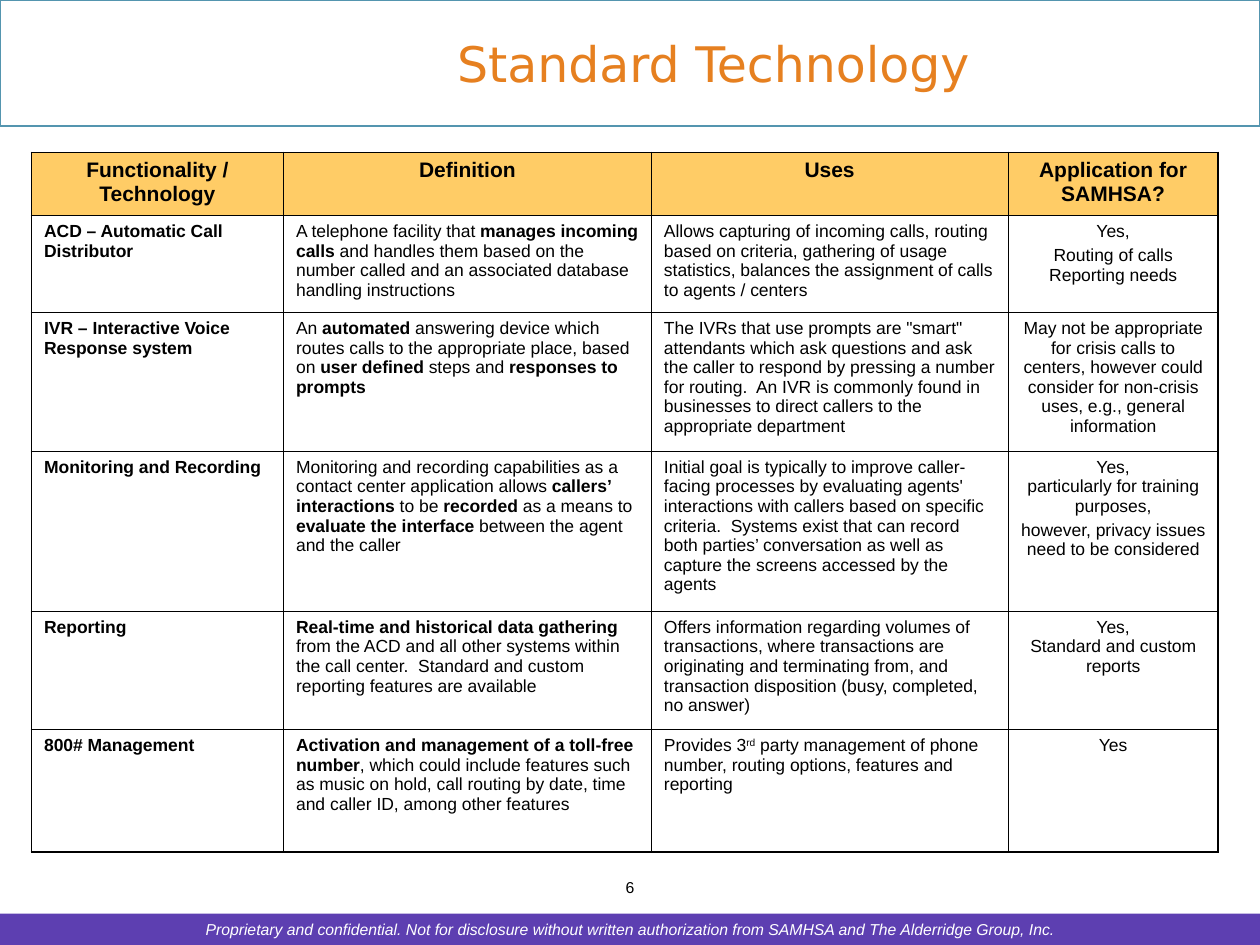
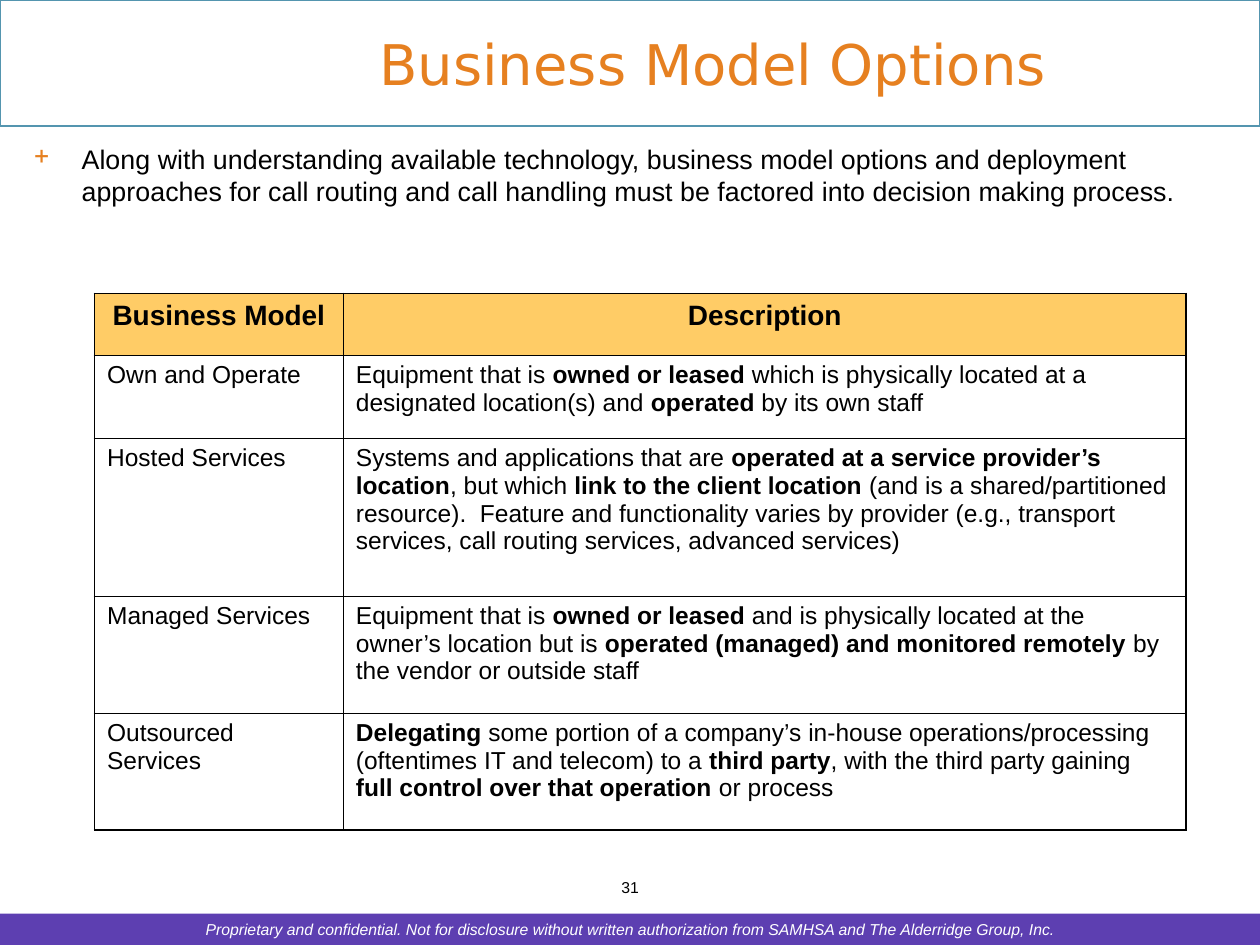
"""Builds two call center slides: standard technology and business model options."""
from dataclasses import dataclass

from lxml.etree import SubElement
from pptx import Presentation
from pptx.dml.color import RGBColor
from pptx.enum.shapes import MSO_SHAPE
from pptx.enum.text import MSO_ANCHOR, PP_ALIGN
from pptx.oxml.ns import qn
from pptx.util import Inches, Pt

COLUMNS, ROWS = 100, 75
ORANGE, PURPLE, TEAL = "E68020", "5D3FB1", "5495AF"
GOLD, BLACK, WHITE = "FFCC66", "000000", "FFFFFF"
BODY_FONT, TITLE_FONT = "Arial", "DejaVu Sans"
OUTER_RULE, INNER_RULE = 1.08, 0.45
CONFIDENTIALITY = ("Proprietary and confidential. Not for disclosure without written "
                   "authorization from SAMHSA and The Alderridge Group, Inc.")


@dataclass(frozen=True)
class Area:
    """A rectangle in grid columns and rows."""
    left: float
    top: float
    width: float
    height: float

    def lengths(self) -> list:
        """Return left, top, width and height as lengths."""
        return [grid(n) for n in (self.left, self.top, self.width, self.height)]


@dataclass(frozen=True)
class Style:
    """The look of a piece of text."""
    size: float
    color: str = BLACK
    font: str = BODY_FONT
    italic: bool = False
    align: PP_ALIGN = PP_ALIGN.LEFT
    gap: float = 0


@dataclass(frozen=True)
class Matrix:
    """A ruled table; *stars* mark bold text and ^carets^ superscript."""
    left: float
    top: float
    widths: tuple
    heights: tuple
    header_size: float
    body_size: float
    centred_columns: tuple
    entries: tuple


@dataclass(frozen=True)
class Page:
    """The content of one slide."""
    title: str
    title_size: float
    number: str
    matrix: Matrix
    lead: str = ""


FOOTER_BAND = Area(0, 72.5, COLUMNS, 2.5)
FOOTER_NOTE = Area(10, 72.5, 80, 2.5)
TITLE_BAND = Area(0, 0, COLUMNS, 10)
TITLE_AREA = Area(13.7, 0, 85.8, 10)
LEAD_AREA = Area(1.7, 10.8, 96.7, 6.7)
NUMBER_AREA = Area(47.9, 69.2, 4.2, 2.5)

TECHNOLOGY = Matrix(
    2.5, 12.1, (20, 29.2, 28.3, 16.7), (5, 7.7, 11, 12.7, 9.4, 9.7), 12, 10, (3,),
    (
        ("*Functionality / Technology*", "*Definition*", "*Uses*", "*Application for SAMHSA?*"),
        ("*ACD – Automatic Call Distributor*",
         "A telephone facility that *manages incoming calls* and handles them based on the "
         "number called and an associated database handling instructions",
         "Allows capturing of incoming calls, routing based on criteria, gathering of usage "
         "statistics, balances the assignment of calls to agents / centers",
         "Yes,\nRouting of calls\vReporting needs"),
        ("*IVR – Interactive Voice Response system*",
         "An *automated* answering device which routes calls to the appropriate place, based "
         "on *user defined* steps and *responses to prompts*",
         "The IVRs that use prompts are \"smart\" attendants which ask questions and ask the "
         "caller to respond by pressing a number for routing.  An IVR is commonly found in "
         "businesses to direct callers to the appropriate department",
         "May not be appropriate for crisis calls to centers, however could consider for "
         "non-crisis uses, e.g., general information"),
        ("*Monitoring and Recording*",
         "Monitoring and recording capabilities as a contact center application allows "
         "*callers’ interactions* to be *recorded* as a means to *evaluate the interface* "
         "between the agent and the caller",
         "Initial goal is typically to improve caller-facing processes by evaluating agents' "
         "interactions with callers based on specific criteria.  Systems exist that can record "
         "both parties’ conversation as well as capture the screens accessed by the agents",
         "Yes,\vparticularly for training purposes,\n"
         "however, privacy issues need to be considered"),
        ("*Reporting*",
         "*Real-time and historical data gathering* from the ACD and all other systems within "
         "the call center.  Standard and custom reporting features are available",
         "Offers information regarding volumes of transactions, where transactions are "
         "originating and terminating from, and transaction disposition (busy, completed, "
         "no answer)",
         "Yes,\vStandard and custom reports"),
        ("*800# Management*",
         "*Activation and management of a toll-free number*, which could include features such "
         "as music on hold, call routing by date, time and caller ID, among other features",
         "Provides 3^rd^ party management of phone number, routing options, features and "
         "reporting",
         "Yes"),
    ))

BUSINESS_MODELS = Matrix(
    7.5, 23.3, (19.75, 66.9), (4.9, 6.6, 12.5, 9.3, 9.3), 16, 14, (),
    (
        ("*Business Model*", "*Description*"),
        ("Own and Operate",
         "Equipment that is *owned or leased* which is physically located at a designated "
         "location(s) and *operated* by its own staff"),
        ("Hosted Services",
         "Systems and applications that are *operated at a service provider’s location*, but "
         "which *link to the client location* (and is a shared/partitioned resource).  Feature "
         "and functionality varies by provider (e.g., transport services, call routing "
         "services, advanced services)"),
        ("Managed Services",
         "Equipment that is *owned or leased* and is physically located at the owner’s "
         "location but is *operated (managed) and monitored remotely* by the vendor or outside "
         "staff"),
        ("Outsourced Services",
         "*Delegating* some portion of a company’s in-house operations/processing (oftentimes "
         "IT and telecom) to a *third party*, with the third party gaining *full control over "
         "that operation* or process"),
    ))

PAGES = (
    Page("Standard Technology", 28, "6", TECHNOLOGY),
    Page("Business Model Options", 32, "31", BUSINESS_MODELS,
         "Along with understanding available technology, business model options and deployment "
         "approaches for call routing and call handling must be factored into decision making "
         "process."),
)


def grid(units: float) -> int:
    """Convert grid columns or rows to a length."""
    return Inches(units / 10)


def rgb(color: str) -> RGBColor:
    """Turn a hex string into a colour."""
    return RGBColor.from_string(color)


def write(frame, text: str, style: Style) -> None:
    """Write marked text into a frame, one paragraph a line."""
    for index, line in enumerate(text.split("\n")):
        paragraph = frame.add_paragraph() if index else frame.paragraphs[0]
        mark = "^" if "^" in line else "*"
        opening, *others = line.split(mark)
        paragraph.text = opening
        paragraph.alignment = style.align
        if index:
            paragraph.space_before = Pt(style.gap)
        for position, part in enumerate(others):
            if part:
                run = paragraph.add_run()
                run.text = part
                if position % 2 == 0 and mark == "*":
                    run.font.bold = True
                elif position % 2 == 0:
                    run.font._element.set("baseline", "30000")
        for run in paragraph.runs:
            run.font.size = Pt(style.size)
            run.font.name = style.font
            run.font.italic = style.italic
            run.font.color.rgb = rgb(style.color)


def add_text(slide, area: Area, text: str, style: Style, anchor=MSO_ANCHOR.TOP):
    """Add a wrapping text box and return its frame."""
    frame = slide.shapes.add_textbox(*area.lengths()).text_frame
    frame.word_wrap = True
    frame.vertical_anchor = anchor
    write(frame, text, style)
    return frame


def add_band(slide, area: Area, fill: str = "", line: str = "") -> None:
    """Add a rectangle with an optional fill and outline."""
    band = slide.shapes.add_shape(MSO_SHAPE.RECTANGLE, *area.lengths())
    band.shadow.inherit = False
    if fill:
        band.fill.solid()
        band.fill.fore_color.rgb = rgb(fill)
    else:
        band.fill.background()
    if line:
        band.line.color.rgb = rgb(line)
        band.line.width = Pt(1.5)
    else:
        band.line.fill.background()


def add_plus_bullet(paragraph) -> None:
    """Give a paragraph a hanging orange plus sign."""
    properties = paragraph._p.get_or_add_pPr()
    properties.set("marL", str(grid(3.8)))
    properties.set("indent", str(-grid(3.8)))
    SubElement(SubElement(properties, qn("a:buClr")), qn("a:srgbClr"), val=ORANGE)
    SubElement(properties, qn("a:buChar"), char="+")


def rule_cell(cell, outer_sides: dict) -> None:
    """Draw cell borders, heavier on the table's outer sides."""
    properties = cell._tc.get_or_add_tcPr()
    for side, is_outer in outer_sides.items():
        width = Pt(OUTER_RULE if is_outer else INNER_RULE)
        border = SubElement(properties, qn(f"a:ln{side}"), w=str(width))
        SubElement(SubElement(border, qn("a:solidFill")), qn("a:srgbClr"), val=BLACK)


def add_matrix(slide, matrix: Matrix) -> None:
    """Add a ruled table with a gold header row."""
    last_row, last_column = len(matrix.heights) - 1, len(matrix.widths) - 1
    area = Area(matrix.left, matrix.top, sum(matrix.widths), sum(matrix.heights))
    table = slide.shapes.add_table(last_row + 1, last_column + 1, *area.lengths()).table
    table.first_row = table.horz_banding = False
    for column, width in zip(table.columns, matrix.widths):
        column.width = grid(width)
    for row, height in zip(table.rows, matrix.heights):
        row.height = grid(height)
    for r, entries in enumerate(matrix.entries):
        for c, entry in enumerate(entries):
            cell = table.cell(r, c)
            centred = r == 0 or c in matrix.centred_columns
            size = matrix.body_size if r else matrix.header_size
            align = PP_ALIGN.CENTER if centred else PP_ALIGN.LEFT
            write(cell.text_frame, entry, Style(size, align=align, gap=size / 4))
            rule_cell(cell, {"L": c == 0, "R": c == last_column, "T": r == 0, "B": r == last_row})
            if r == 0:
                cell.fill.solid()
                cell.fill.fore_color.rgb = rgb(GOLD)
            else:
                cell.fill.background()


def add_page(deck, page: Page) -> None:
    """Add one slide with its bands, title, content and number."""
    slide = deck.slides.add_slide(deck.slide_layouts[6])
    centre = PP_ALIGN.CENTER
    add_band(slide, FOOTER_BAND, fill=PURPLE)
    add_text(slide, FOOTER_NOTE, CONFIDENTIALITY, Style(9, WHITE, italic=True, align=centre))
    add_band(slide, TITLE_BAND, line=TEAL)
    add_text(slide, TITLE_AREA, page.title,
             Style(page.title_size, ORANGE, TITLE_FONT, align=centre), MSO_ANCHOR.MIDDLE)
    if page.lead:
        lead = add_text(slide, LEAD_AREA, page.lead, Style(15.3))
        add_plus_bullet(lead.paragraphs[0])
    add_matrix(slide, page.matrix)
    add_text(slide, NUMBER_AREA, page.number, Style(9, align=centre))


def main() -> None:
    """Build and save the slides."""
    deck = Presentation()
    deck.slide_width, deck.slide_height = grid(COLUMNS), grid(ROWS)
    for page in PAGES:
        add_page(deck, page)
    deck.save("out.pptx")


if __name__ == "__main__":
    main()
